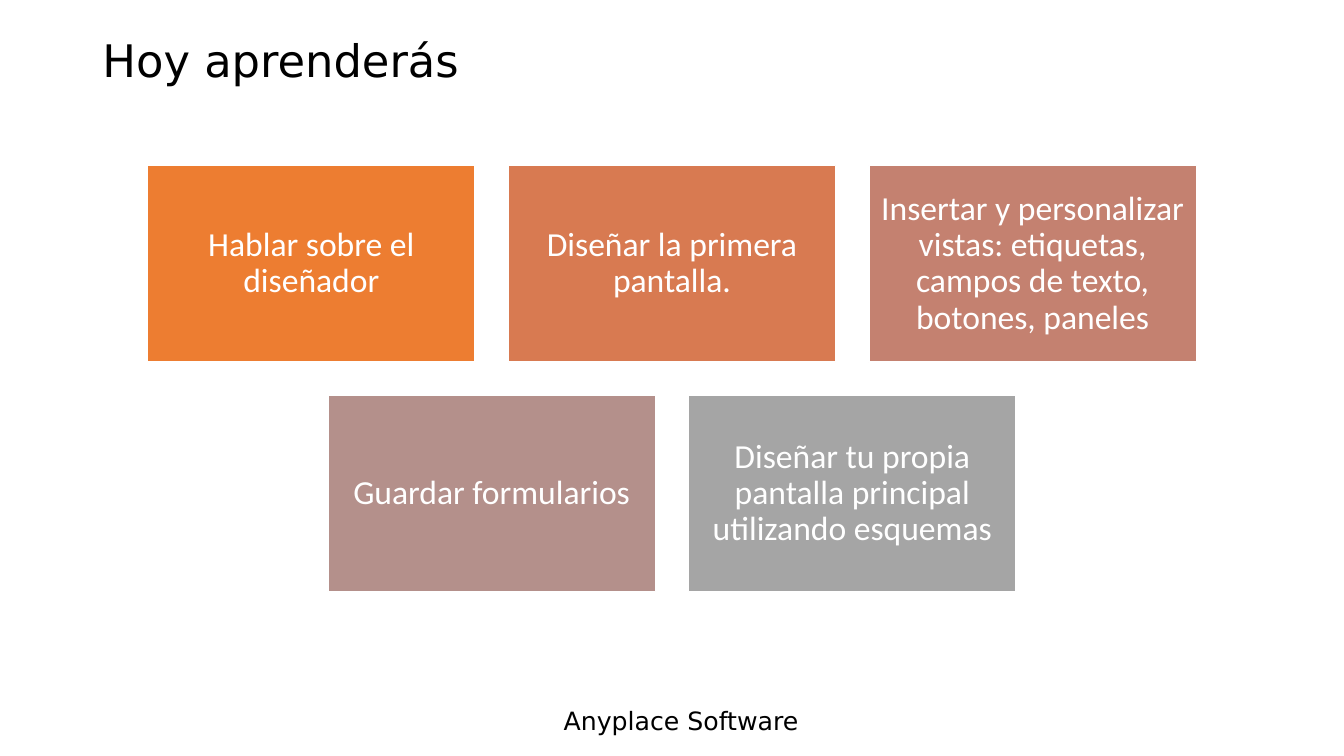
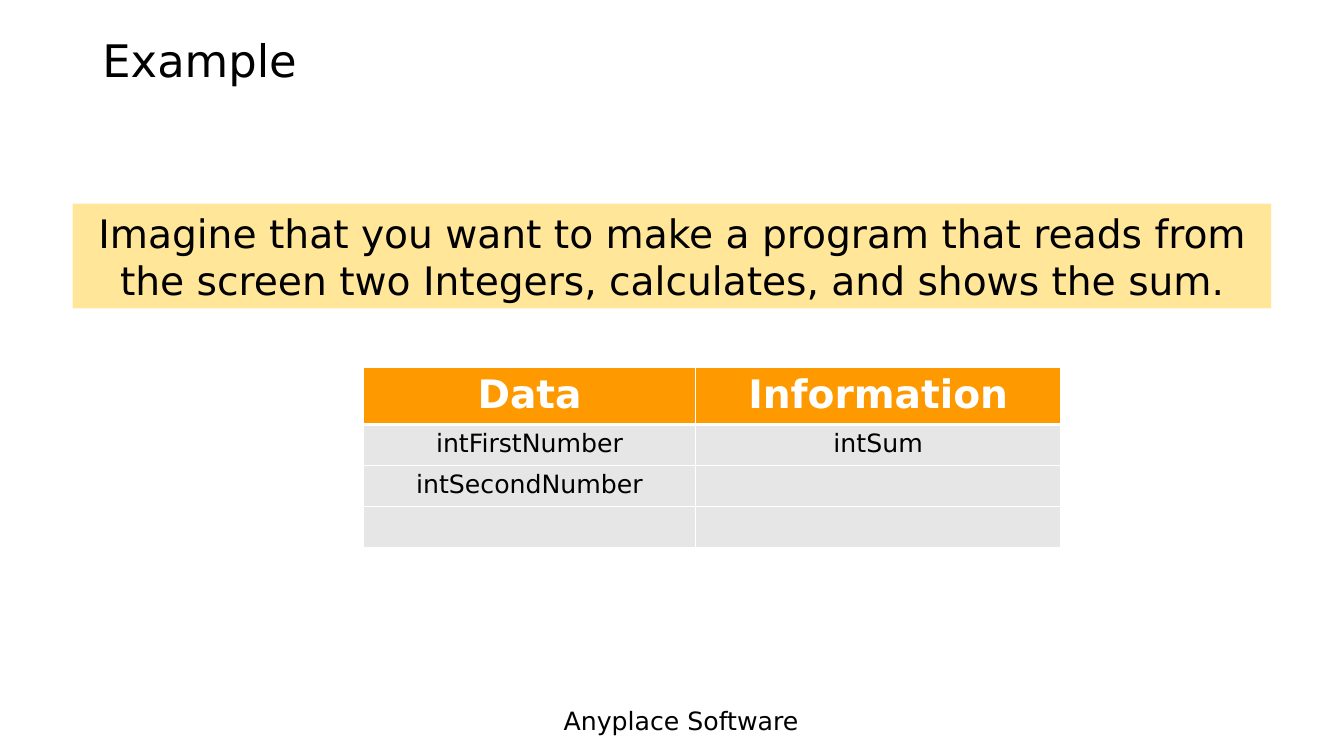
"""Builds two lesson slides: the learning goals and a worked example."""
from lxml.etree import SubElement
from pptx import Presentation
from pptx.dml.color import RGBColor
from pptx.enum.shapes import MSO_SHAPE
from pptx.enum.text import MSO_ANCHOR, MSO_AUTO_SIZE, PP_ALIGN
from pptx.oxml.ns import qn
from pptx.util import Pt

SLIDE_WIDTH, SLIDE_HEIGHT = 960, 540
WHITE, BLACK = "FFFFFF", "000000"
HEADER_ORANGE, CELL_GREY, PALE_YELLOW = "FE9900", "E7E6E6", "FFE699"
FOOTER = "Anyplace Software"

GOALS = [
    [
        ("Hablar sobre el diseñador", "ED7D31"),
        ("Diseñar la primera pantalla.", "D87A51"),
        ("Insertar y personalizar vistas: etiquetas, campos de texto, botones, paneles", "C48170"),
    ],
    [
        ("Guardar formularios", "B4908B"),
        ("Diseñar tu propia pantalla principal utilizando esquemas", "A5A5A5"),
    ],
]
TASK = (
    "Imagine that you want to make a program that reads from the screen "
    "two Integers, calculates, and shows the sum."
)
VARIABLES = [
    ("Data", "Information"),
    ("intFirstNumber", "intSum"),
    ("intSecondNumber", ""),
    ("", ""),
]


def color(code):
    """Turn a hex string into a colour."""
    return RGBColor.from_string(code)


class Deck:
    """Holds the shared style and the current slide."""

    body_font = "DejaVu Sans"
    card_font = "Calibri"

    def __init__(self):
        """Start an empty widescreen presentation."""
        self.presentation = Presentation()
        self.presentation.slide_width = Pt(SLIDE_WIDTH)
        self.presentation.slide_height = Pt(SLIDE_HEIGHT)
        self.slide = None

    def label(self, frame, text, size, ink=BLACK, font=body_font, bold=False,
              align=PP_ALIGN.CENTER, spacing=None):
        """Put one formatted run into the first paragraph of a frame."""
        paragraph = frame.paragraphs[0]
        paragraph.alignment = align
        if spacing:
            paragraph.line_spacing = spacing
        run = paragraph.add_run()
        run.text = text
        run.font.name = font
        run.font.size = Pt(size)
        run.font.bold = bold
        run.font.color.rgb = color(ink)

    def new_slide(self, heading):
        """Add a slide with its title and the shared footer."""
        self.slide = self.presentation.slides.add_slide(self.presentation.slide_layouts[5])
        title = self.slide.shapes.title
        title.left, title.top, title.width, title.height = Pt(66), Pt(11), Pt(828), Pt(68)
        title.text_frame.vertical_anchor = MSO_ANCHOR.MIDDLE
        title.text_frame.auto_size = MSO_AUTO_SIZE.NONE
        self.label(title.text_frame, heading, 32, align=PP_ALIGN.LEFT, spacing=0.9)
        footer = self.slide.shapes.add_textbox(Pt(395.5), Pt(500.5), Pt(209), Pt(29))
        footer.text_frame.word_wrap = True
        self.label(footer.text_frame, FOOTER, 18, align=PP_ALIGN.LEFT)

    def box(self, left, top, width, height, fill, outline=None):
        """Add a flat rectangle and return its text frame."""
        shape = self.slide.shapes.add_shape(
            MSO_SHAPE.RECTANGLE, Pt(left), Pt(top), Pt(width), Pt(height))
        shape.shadow.inherit = False
        shape.fill.solid()
        shape.fill.fore_color.rgb = color(fill)
        if outline:
            shape.line.color.rgb = color(outline)
            shape.line.width = Pt(1)
        else:
            shape.line.fill.background()
        frame = shape.text_frame
        frame.word_wrap = True
        frame.vertical_anchor = MSO_ANCHOR.MIDDLE
        return frame

    def cards(self, rows, top, width, height, gap):
        """Lay out rows of cards, each row centred on the slide."""
        for index, row in enumerate(rows):
            row_width = len(row) * (width + gap) - gap
            left = (SLIDE_WIDTH - row_width) / 2
            for column, (goal, fill) in enumerate(row):
                frame = self.box(left + column * (width + gap), top + index * (height + gap),
                                 width, height, fill, WHITE)
                frame.margin_left = frame.margin_right = Pt(7.2)
                frame.margin_top = frame.margin_bottom = Pt(7.2)
                self.label(frame, goal, 24, WHITE, self.card_font, spacing=0.9)

    def banner(self, text, left, top, width, height):
        """Add a highlighted statement."""
        self.label(self.box(left, top, width, height, PALE_YELLOW), text, 28)

    def borders(self, cell, above, below):
        """Draw white lines around a cell."""
        properties = cell._tc.get_or_add_tcPr()
        widths = {"a:lnL": 1, "a:lnR": 1, "a:lnT": above, "a:lnB": below}
        for tag, width in widths.items():
            line = SubElement(properties, qn(tag), w=str(int(Pt(width))))
            SubElement(SubElement(line, qn("a:solidFill")), qn("a:srgbClr"), val=WHITE)

    def table(self, rows, left, top, widths, heights):
        """Add a table with a coloured header row."""
        grid = self.slide.shapes.add_table(
            len(rows), len(widths), Pt(left), Pt(top), Pt(sum(widths)), Pt(sum(heights))).table
        grid.horz_banding = False
        for column, width in zip(grid.columns, widths):
            column.width = Pt(width)
        for index, (texts, height) in enumerate(zip(rows, heights)):
            grid.rows[index].height = Pt(height)
            header = index == 0
            for column, text in enumerate(texts):
                cell = grid.cell(index, column)
                self.borders(cell, 3 if index == 1 else 1, 3 if header else 1)
                cell.fill.solid()
                cell.fill.fore_color.rgb = color(HEADER_ORANGE if header else CELL_GREY)
                if text:
                    self.label(cell.text_frame, text, 28 if header else 18,
                               WHITE if header else BLACK, bold=header)


def main():
    """Build and save both slides."""
    deck = Deck()
    deck.new_slide("Hoy aprenderás")
    deck.cards(GOALS, top=118.2, width=234, height=140.4, gap=23.6)
    deck.new_slide("Example")
    deck.banner(TASK, left=52, top=145.4, width=856, height=75)
    deck.table(VARIABLES, left=259.6, top=262.4, widths=[237.4, 260.6],
               heights=[40.6, 29.2, 29.2, 29.2])
    deck.presentation.save("out.pptx")


if __name__ == "__main__":
    main()
